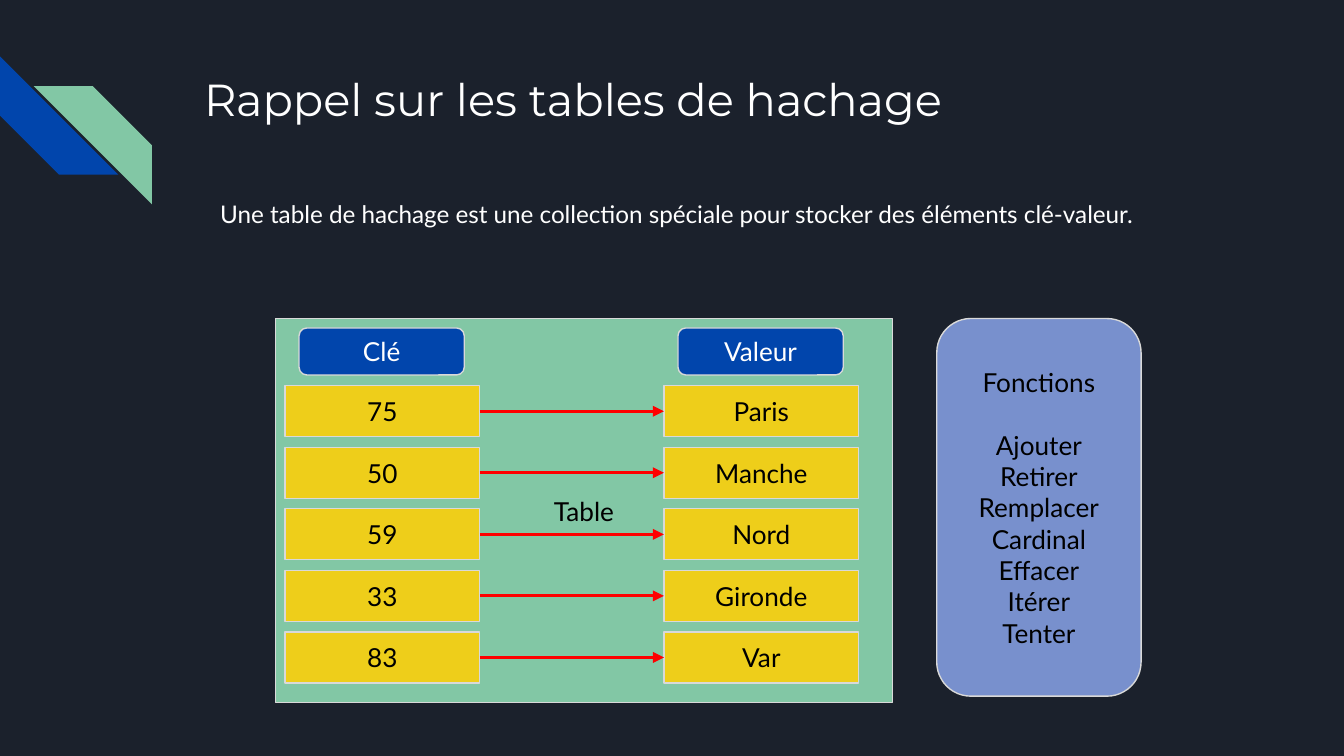
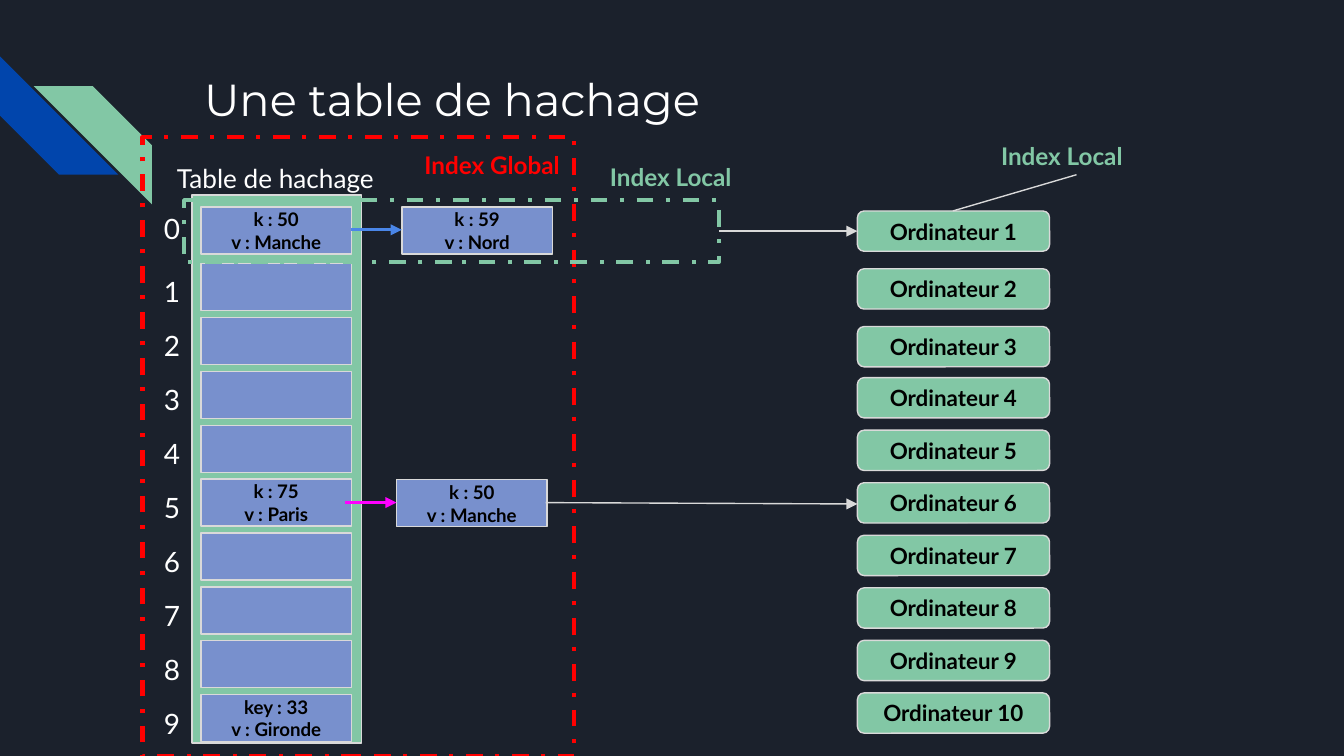
from lxml.etree import SubElement as add_sub
from pptx import Presentation
from pptx.dml.color import RGBColor
from pptx.enum.dml import MSO_LINE
from pptx.enum.shapes import MSO_CONNECTOR, MSO_SHAPE as Kind
from pptx.enum.text import MSO_ANCHOR as Anchor, PP_ALIGN as Align
from pptx.oxml.ns import qn
from pptx.util import Inches, Pt

# Grid: 100 columns wide, square cells, so 56.25 rows high
CELL = Inches(10) / 100
hue = RGBColor.from_string

NIGHT, WHITE, BLACK, GREY = "1B212C", "FFFFFF", "000000", "D9D9D9"
BLUE, GREEN, LILAC, GOLD = "0145AC", "82C7A5", "7890CD", "EECE1A"
RED, SKY, PINK = "FF0000", "4A86E8", "FF00FF"


def put(page, text, x, y, w, h, *, kind=None, fill=None, edge=GREY, thick=0.75,
        dash=None, turn=0, size=14, font="Lato", color=BLACK, bold=False,
        align=Align.CENTER, gap=0):
    """Place text at grid cells, in a shape if kind is given; gap follows its first line."""
    area = [round(n * CELL) for n in (x, y, w, h)]
    if kind is None:
        item = page.shapes.add_textbox(*area)
    else:
        item = page.shapes.add_shape(kind, *area)
        item.shadow.inherit = False
        item.rotation = turn
        if fill:
            item.fill.solid()
            item.fill.fore_color.rgb = hue(fill)
        else:
            item.fill.background()
        if edge:
            item.line.color.rgb = hue(edge)
            item.line.width = Pt(thick)
            item.line.dash_style = dash
        else:
            item.line.fill.background()
    if not text:
        return
    frame = item.text_frame
    frame.word_wrap = True
    frame.vertical_anchor = Anchor.MIDDLE if kind else Anchor.TOP
    frame.margin_left = frame.margin_right = Inches(0.1)
    frame.margin_top = frame.margin_bottom = Inches(0.1)
    for i, line in enumerate(text.split("\n")):
        para = frame.add_paragraph() if i else frame.paragraphs[0]
        para.alignment = align
        if gap and i == 0:
            para.space_after = Pt(gap)
        run = para.add_run()
        run.text = line
        run.font.size, run.font.name, run.font.bold = Pt(size), font, bold
        run.font.color.rgb = hue(color)


def link(page, x1, y1, x2, y2, color, thick=0.75, arrow=True):
    ends = [round(n * CELL) for n in (x1, y1, x2, y2)]
    wire = page.shapes.add_connector(MSO_CONNECTOR.STRAIGHT, *ends)
    wire.line.color.rgb = hue(color)
    wire.line.width = Pt(thick)
    props = wire._element.spPr
    if arrow:
        add_sub(props.find(qn("a:ln")), qn("a:tailEnd"), type="triangle")
    add_sub(props, qn("a:effectLst"))


deck = Presentation()
deck.slide_width, deck.slide_height = Inches(10), Inches(5.625)

# Shared background, corner stripes and title
pages = []
for title in ("Rappel sur les tables de hachage", "Une table de hachage"):
    page = deck.slides.add_slide(deck.slide_layouts[6])
    page.background.fill.solid()
    page.background.fill.fore_color.rgb = hue(NIGHT)
    for x, y, fill, turn in ((0, 4.2, BLUE, 270), (2.5, 6.4, GREEN, 90)):
        put(page, "", x, y, 8.8, 8.8, kind=Kind.DIAGONAL_STRIPE, fill=fill,
            edge=None, turn=turn)
    put(page, title, 14.2, 4.3, 77, 6.1, size=24, font="Montserrat",
        color=WHITE, align=Align.LEFT)
    pages.append(page)
recap, table = pages

# Slide 1: keys, values and functions
put(recap, "Table", 20.5, 23.7, 45.9, 28.6, kind=Kind.RECTANGLE, fill=GREEN)
pairs = {"75": "Paris", "50": "Manche", "59": "Nord", "33": "Gironde", "83": "Var"}
for head, x, cells in (("Clé", 21.2, pairs.keys()), ("Valeur", 49.4, pairs.values())):
    put(recap, head, x + 1.05, 24.4, 12.3, 3.5, kind=Kind.ROUNDED_RECTANGLE,
        fill=BLUE, color=WHITE)
    for row, cell in enumerate(cells):
        put(recap, cell, x, 28.7 + 4.58 * row, 14.5, 3.8, kind=Kind.RECTANGLE, fill=GOLD)
for row in range(len(pairs)):
    y = 30.6 + 4.58 * row
    link(recap, 35.7, y, 49.4, y, RED, 1.5)
put(recap, "Fonctions\nAjouter\nRetirer\nRemplacer\nCardinal\nEffacer\nItérer\nTenter",
    69.7, 23.7, 15.2, 28.1, kind=Kind.ROUNDED_RECTANGLE, fill=LILAC, gap=16.8)
put(recap, "Une table de hachage est une collection spéciale pour stocker des éléments clé-valeur.",
    15.4, 13.8, 76.3, 6, size=13, color=WHITE, align=Align.LEFT)

# Slide 2: hash table, its buckets and chained entries
put(table, "", 10.6, 10.2, 32.1, 46.1, kind=Kind.RECTANGLE, edge=RED,
    thick=2.25, dash=MSO_LINE.DASH_DOT)
put(table, "", 14.3, 14.5, 12.6, 40.8, kind=Kind.RECTANGLE, fill=GREEN)
put(table, "Table de hachage", 12, 11.1, 17, 3, color=WHITE)

slots = {0: "k : 50\nv : Manche", 5: "k : 75\nv : Paris", 9: "key : 33\nv : Gironde"}
entry = dict(w=11.2, h=3.5, kind=Kind.RECTANGLE, fill=LILAC, size=10, bold=True)
for row in range(10):
    # The first bucket stands a little apart from the rest
    y = 15.6 + 4.01 * row if row else 15.4
    put(table, slots.get(row, ""), 14.95, y, **entry)
    put(table, str(row), 11.2, y - (0.15 if row else 0.7), 2.5, 3.8, size=15, color=WHITE)
put(table, "k : 59\nv : Nord", 29.9, 15.4, **entry)
put(table, "k : 50\nv : Manche", 29.5, 35.7, **entry)

# Computers: wider steps for the first three
for n in range(10):
    y = 15.7 + 4.3 * n if n < 3 else 28.1 + 3.91 * (n - 3)
    put(table, f"Ordinateur {n + 1}", 63.8, y, 14.3, 3, kind=Kind.ROUNDED_RECTANGLE,
        fill=GREEN, size=12, bold=True)

put(table, "", 13.7, 14.9, 39.8, 4.6, kind=Kind.RECTANGLE, edge=GREEN,
    thick=2.25, dash=MSO_LINE.DASH_DOT)
for text, x, y, color in (("Index Global", 30.6, 10.2, RED),
                          ("Index Local", 44.4, 11.1, GREEN),
                          ("Index Local", 73.5, 9.5, GREEN)):
    put(table, text, x, y, 13.1, 3.5, size=13, color=color, bold=True, align=Align.LEFT)

link(table, 26.1, 17.1, 29.9, 17.1, SKY, 1.5)
link(table, 25.7, 37.4, 29.5, 37.4, PINK, 1.5)
link(table, 53.5, 17.2, 63.8, 17.2, GREY)
link(table, 40.6, 37.4, 63.8, 37.5, GREY)
link(table, 80.1, 13, 70.9, 15.7, GREY, arrow=False)

deck.save("out.pptx")
